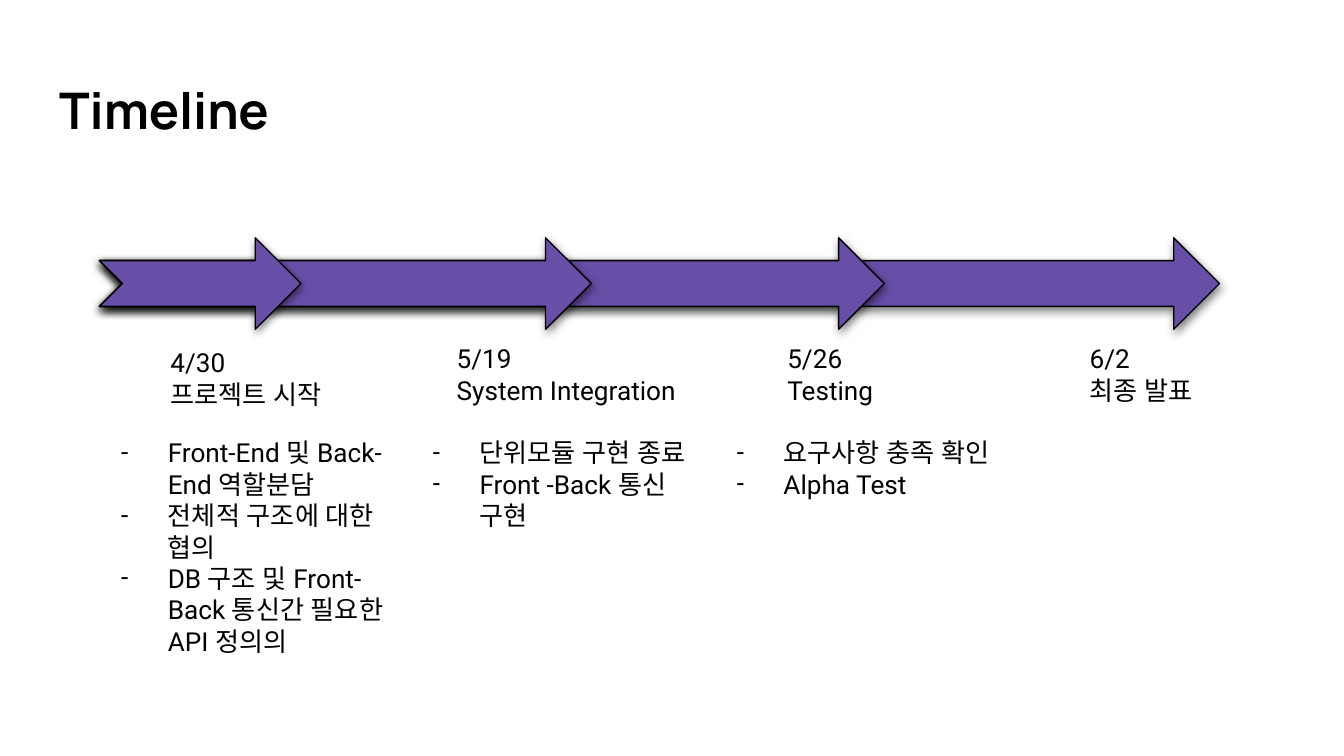
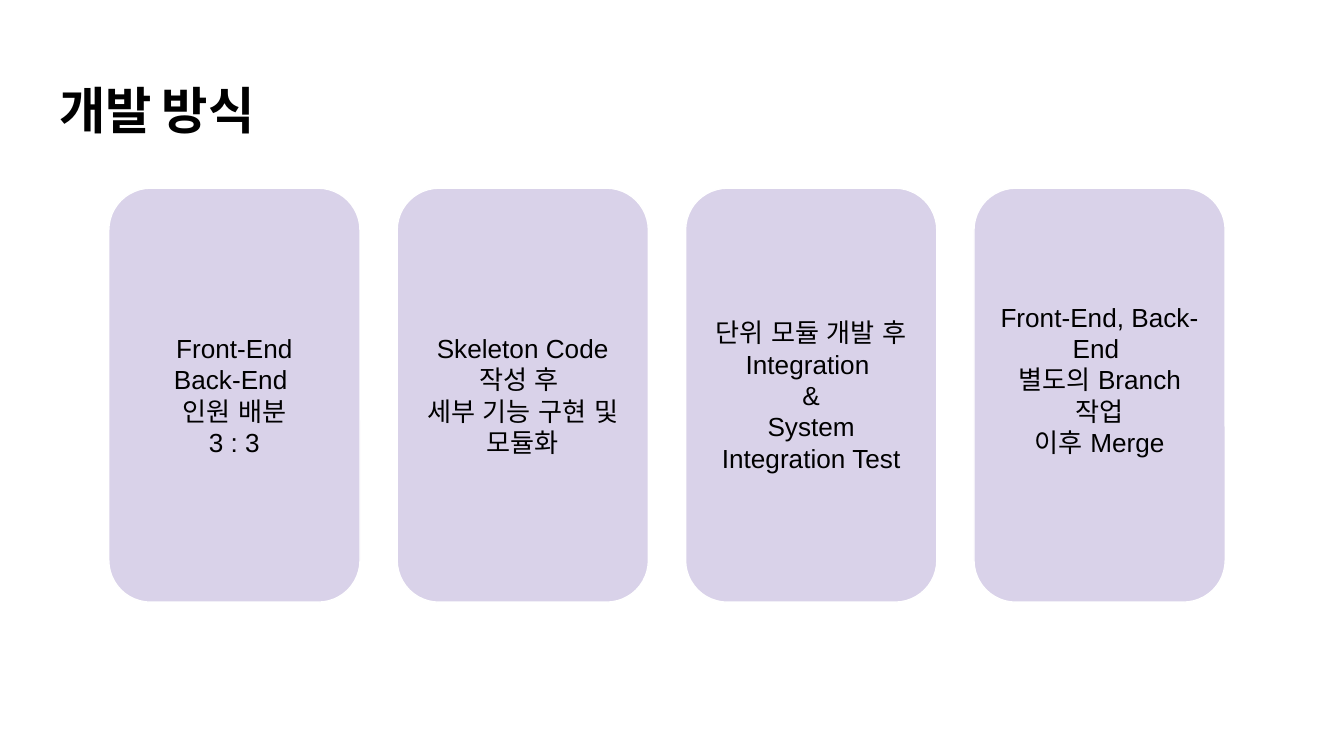
from lxml.etree import SubElement
from pptx import Presentation
from pptx.dml.color import RGBColor
from pptx.enum.shapes import MSO_SHAPE as SHAPE
from pptx.enum.text import MSO_ANCHOR as ANCHOR, MSO_AUTO_SIZE as AUTO, PP_ALIGN as ALIGN
from pptx.oxml import parse_xml
from pptx.oxml.ns import nsdecls, qn
from pptx.util import Pt

BLACK, WHITE, PURPLE, LILAC = "000000", "FFFFFF", "674EA7", "D9D2E9"
INSET = 7.2
SHADOW = (
    f'<a:effectLst {nsdecls("a")}><a:outerShdw blurRad="{Pt(4.5)}" dist="{Pt(1.5)}" '
    'dir="5400000" algn="bl" rotWithShape="0"><a:srgbClr val="000000">'
    '<a:alpha val="50000"/></a:srgbClr></a:outerShdw></a:effectLst>'
)


def color(hex_code):
    return RGBColor.from_string(hex_code)


def write(sp, text, font="Roboto", size=14, bold=False, align=ALIGN.LEFT,
          anchor=ANCHOR.TOP, bullet=None, bottom=INSET, fit=AUTO.NONE):
    tf = sp.text_frame
    tf.word_wrap = True
    tf.auto_size = fit
    tf.vertical_anchor = anchor
    tf.margin_left = tf.margin_top = tf.margin_right = Pt(INSET)
    tf.margin_bottom = Pt(bottom)
    for i, line in enumerate(text.split("\n")):
        p = tf.paragraphs[0] if i == 0 else tf.add_paragraph()
        p.alignment = align
        r = p.add_run()
        r.text = line
        r.font.name = font
        r.font.size = Pt(size)
        r.font.bold = bold
        r.font.color.rgb = color(BLACK)
        SubElement(r.font._element, qn("a:ea")).set("typeface", font)
        if bullet:
            pPr = p._p.get_or_add_pPr()
            pPr.set("marL", str(Pt(36)))
            pPr.set("indent", str(Pt(-25)))
            buClr = SubElement(pPr, qn("a:buClr"))
            SubElement(buClr, qn("a:srgbClr")).set("val", BLACK)
            SubElement(pPr, qn("a:buFont")).set("typeface", font)
            SubElement(pPr, qn("a:buChar")).set("char", bullet)


prs = Presentation()
prs.slide_width, prs.slide_height = Pt(720), Pt(405)

slides = []
for title in ("Timeline", "개발 방식"):
    s = prs.slides.add_slide(prs.slide_layouts[5])
    sp = s.shapes.title
    sp.left, sp.top, sp.width, sp.height = Pt(24.5), Pt(35.3), Pt(671), Pt(49)
    write(sp, title, font="Manrope", size=27, bold=True)
    slides.append(s)
timeline, method = slides

for width in (600, 420.5, 263.5, 108):
    sp = timeline.shapes.add_shape(
        SHAPE.NOTCHED_RIGHT_ARROW, Pt(53.3), Pt(127.4), Pt(width), Pt(49))
    sp.fill.solid()
    sp.fill.fore_color.rgb = color(PURPLE)
    sp.line.color.rgb = color(BLACK)
    sp.line.width = Pt(0.75)
    sp._element.spPr.append(parse_xml(SHADOW))

milestones = [
    (84.2, 178.6, 112.3, "4/30\n프로젝트 시작"),
    (237.6, 176.4, 139, "5/19\nSystem Integration"),
    (414.7, 176.4, 77, "5/26\nTesting"),
    (576.7, 176.4, 112.3, "6/2\n최종 발표"),
]
for left, top, width, text in milestones:
    sp = timeline.shapes.add_textbox(Pt(left), Pt(top), Pt(width), Pt(48.2))
    write(sp, text, fit=AUTO.SHAPE_TO_FIT_TEXT)

tasks = [
    (46.8, 133.2, "Front-End 및 Back-End 역할분담\n전체적 구조에 대한 협의\n"
                  "DB 구조 및 Front-Back 통신간 필요한 API 정의의"),
    (213.8, 82, "단위모듈 구현 종료\nFront -Back 통신 구현"),
    (376.6, 65.5, "요구사항 충족 확인\nAlpha Test"),
]
for left, height, text in tasks:
    sp = timeline.shapes.add_textbox(Pt(left), Pt(226.8), Pt(167), Pt(height))
    write(sp, text, bullet="-", fit=AUTO.SHAPE_TO_FIT_TEXT)

cards = [
    ("Front-End\nBack-End \n인원 배분\n3 : 3", INSET),
    ("Skeleton Code 작성 후 \n세부 기능 구현 및 모듈화", INSET),
    ("단위 모듈 개발 후 Integration \n&\nSystem Integration Test", INSET),
    ("Front-End, Back-End \n별도의 Branch 작업\n이후 Merge", 24),
]
for i, (text, bottom) in enumerate(cards):
    sp = method.shapes.add_shape(
        SHAPE.ROUNDED_RECTANGLE, Pt(58.3 + 154.5 * i), Pt(100.8), Pt(134.6), Pt(221.8))
    sp.shadow.inherit = False
    sp.fill.solid()
    sp.fill.fore_color.rgb = color(LILAC)
    sp.line.color.rgb = color(WHITE)
    sp.line.width = Pt(0.75)
    write(sp, text, font="Arial", align=ALIGN.CENTER, anchor=ANCHOR.MIDDLE, bottom=bottom)

prs.save("out.pptx")
